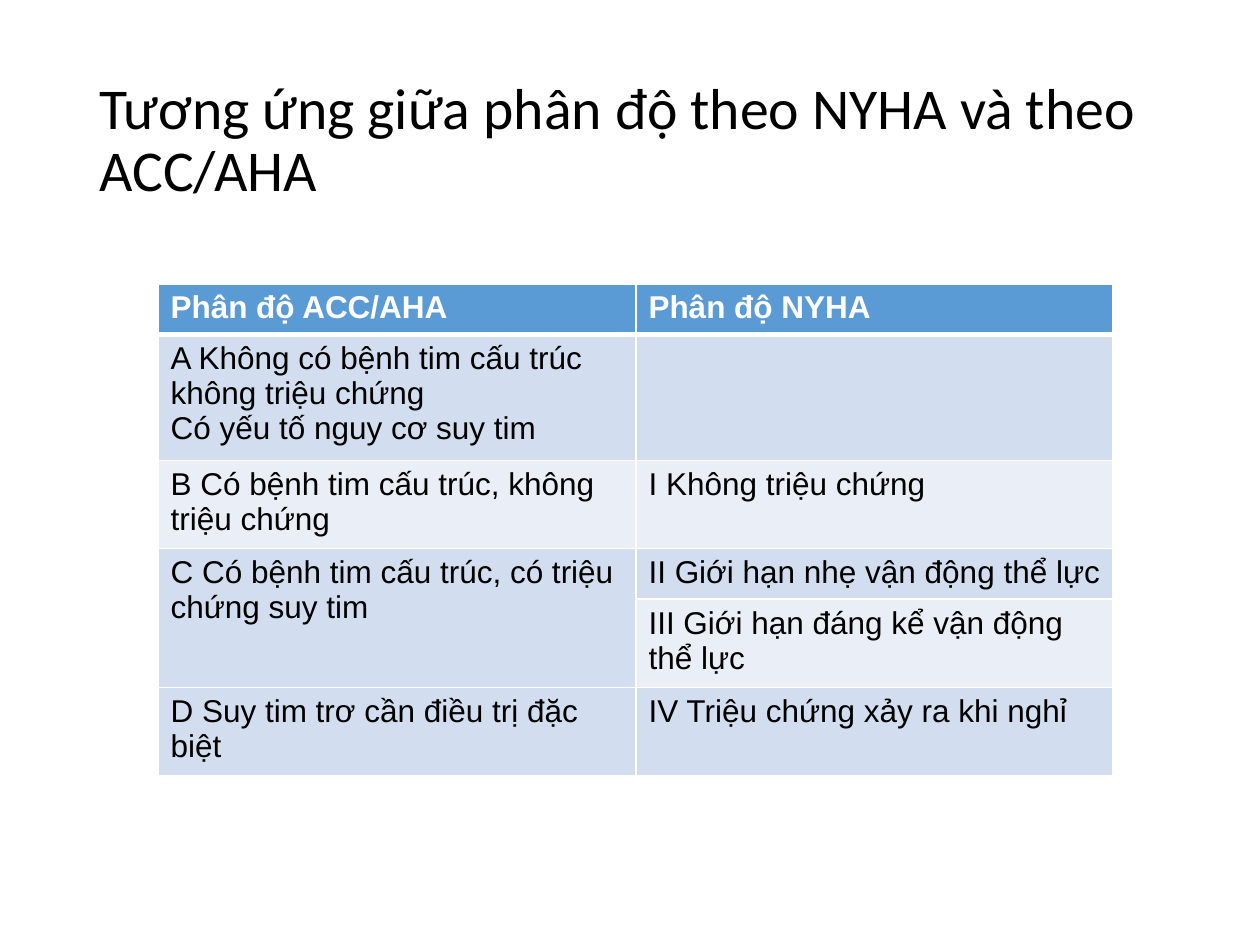
from lxml.etree import SubElement
from pptx import Presentation
from pptx.dml.color import RGBColor
from pptx.enum.text import MSO_ANCHOR
from pptx.oxml.ns import qn
from pptx.util import Pt

SCALE = 914400 / 126
COLORS = {"ink": "000000", "white": "FFFFFF", "head": "5B9BD5",
          "band": "D2DEEF", "light": "EAEFF7"}
WIDTHS = [478, 477]
HEIGHTS = [50, 126, 88, 50, 88, 88]
# Each cell is a list of paragraphs
ROWS = [
    (["Phân độ ACC/AHA"], ["Phân độ NYHA"]),
    (["A Không có bệnh tim cấu trúc không triệu chứng",
      "Có yếu tố nguy cơ suy tim"], []),
    (["B Có bệnh tim cấu trúc, không triệu chứng"], ["I Không triệu chứng"]),
    (["C Có bệnh tim cấu trúc, có triệu chứng suy tim"],
     ["II Giới hạn nhẹ vận động thể lực"]),
    ([], ["III Giới hạn đáng kể vận động thể lực"]),
    (["D Suy tim trơ cần điều trị đặc biệt"],
     ["IV Triệu chứng xảy ra khi nghỉ"]),
]


def px(n):
    return round(n * SCALE)


def color(name):
    return RGBColor.from_string(COLORS[name])


def add_run(para, text, font, size, tint, bold=False):
    run = para.add_run()
    run.text = text
    run.font.name = font
    run.font.size = Pt(size)
    run.font.bold = bold
    run.font.color.rgb = color(tint)


def add_title(slide, text):
    box = slide.shapes.add_textbox(px(87), px(50), px(1086), px(183))
    frame = box.text_frame
    frame.word_wrap = True
    frame.vertical_anchor = MSO_ANCHOR.MIDDLE
    para = frame.paragraphs[0]
    para.line_spacing = 0.9
    add_run(para, text, "Calibri", 33, "ink")


def add_edges(cell, top, bottom):
    props = cell._tc.get_or_add_tcPr()
    edges = [("L", 1), ("R", 1), ("T", top), ("B", bottom)]
    for i, (side, width) in enumerate(edges):
        line = SubElement(props, qn(f"a:ln{side}"), w=str(Pt(width)))
        fill = SubElement(line, qn("a:solidFill"))
        SubElement(fill, qn("a:srgbClr"), val=COLORS["white"])
        props.insert(i, line)  # edges come before the cell fill


def fill_cell(cell, lines, row, shade):
    head = row == 0
    cell.fill.solid()
    cell.fill.fore_color.rgb = color(shade)
    add_edges(cell, 3 if row == 1 else 1, 3 if head else 1)
    frame = cell.text_frame
    for i, text in enumerate(lines):
        para = frame.add_paragraph() if i else frame.paragraphs[0]
        add_run(para, text, "Arial", 18, "white" if head else "ink", head)


def add_grid(slide):
    grid = slide.shapes.add_table(
        len(ROWS), len(WIDTHS), px(158), px(284),
        px(sum(WIDTHS)), px(sum(HEIGHTS))).table
    for col, width in zip(grid.columns, WIDTHS):
        col.width = px(width)
    for r, (height, cells) in enumerate(zip(HEIGHTS, ROWS)):
        grid.rows[r].height = px(height)
        shade = "head" if r == 0 else "band" if r % 2 else "light"
        for c, lines in enumerate(cells):
            fill_cell(grid.cell(r, c), lines, r, shade)
    # Stage C covers two NYHA classes
    grid.cell(3, 0).merge(grid.cell(4, 0))


def main():
    deck = Presentation()
    deck.slide_width, deck.slide_height = px(1260), px(945)
    slide = deck.slides.add_slide(deck.slide_layouts[6])
    add_title(slide, "Tương ứng giữa phân độ theo NYHA và theo ACC/AHA")
    add_grid(slide)
    deck.save("out.pptx")


if __name__ == "__main__":
    main()
